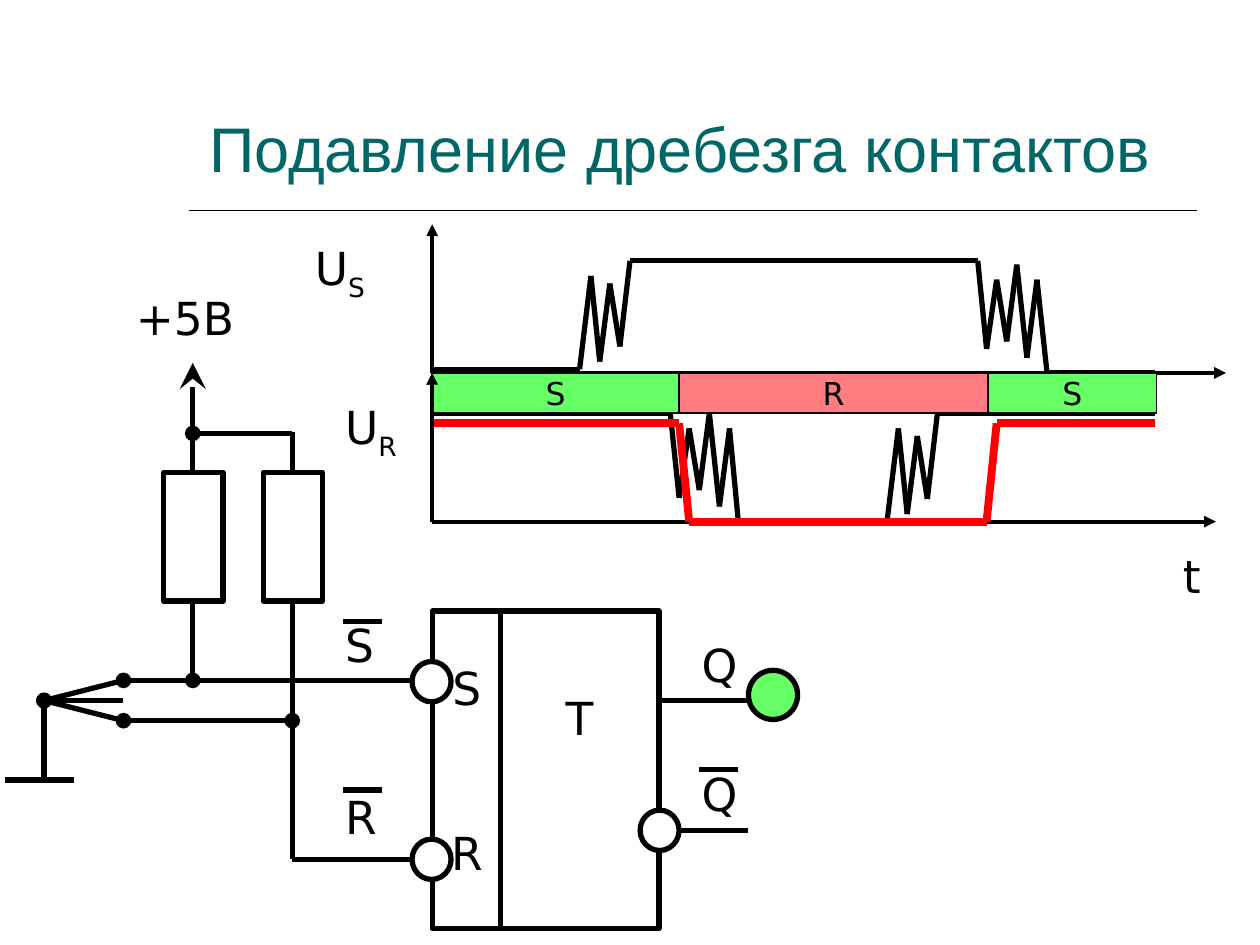
from itertools import pairwise

from lxml import etree
from pptx import Presentation
from pptx.dml.color import RGBColor
from pptx.enum.shapes import MSO_CONNECTOR, MSO_SHAPE
from pptx.enum.text import MSO_ANCHOR, MSO_AUTO_SIZE, PP_ALIGN
from pptx.oxml.ns import qn
from pptx.util import Inches, Pt

BLACK = RGBColor(0x00, 0x00, 0x00)
WHITE = RGBColor(0xFF, 0xFF, 0xFF)
TEAL = RGBColor(0x00, 0x66, 0x66)
GREEN = RGBColor(0x66, 0xFF, 0x66)
PINK = RGBColor(0xFF, 0x7C, 0x80)
RED = RGBColor(0xFF, 0x00, 0x00)

RECT, OVAL = MSO_SHAPE.RECTANGLE, MSO_SHAPE.OVAL
STRAIGHT = MSO_CONNECTOR.STRAIGHT
LEFT, CENTER = PP_ALIGN.LEFT, PP_ALIGN.CENTER
TOP, MIDDLE, BOTTOM = MSO_ANCHOR.TOP, MSO_ANCHOR.MIDDLE, MSO_ANCHOR.BOTTOM
GROW, FIXED = MSO_AUTO_SIZE.SHAPE_TO_FIT_TEXT, MSO_AUTO_SIZE.NONE

AXIS_X, S_ZERO, R_TOP, R_ZERO = 3.43, 2.96, 3.28, 4.14
LEFT_WIRE, RIGHT_WIRE, S_WIRE, R_WIRE = 1.53, 2.32, 5.4, 5.72
END_X = 9.17


def write(tf, *lines, sub="", size=26, font="DejaVu Sans", color=BLACK,
          align=LEFT, anchor=TOP, wrap=True, fit=FIXED, gap=0):
    """Fill a text frame with lines and an optional subscript."""
    tf.word_wrap, tf.vertical_anchor, tf.auto_size = wrap, anchor, fit
    for i, line in enumerate(lines):
        p = tf.paragraphs[0] if i == 0 else tf.add_paragraph()
        p.alignment = align
        if i:
            p.space_before = Pt(gap)
        for text in filter(None, (line, sub)):
            r = p.add_run()
            r.text = text
            r.font.size, r.font.name = Pt(size), font
            r.font.color.rgb = color
    if sub:
        r._r.get_or_add_rPr().set("baseline", "-25000")


def add_label(s, x, y, text, width=0.71, height=0.54, sub=""):
    """Add a free-standing label."""
    box = s.shapes.add_textbox(Inches(x), Inches(y), Inches(width), Inches(height))
    write(box.text_frame, text, sub=sub, fit=GROW)


def add_box(s, kind, x, y, width, height, fill=WHITE, line=3):
    """Add a filled and outlined shape."""
    sp = s.shapes.add_shape(kind, Inches(x), Inches(y), Inches(width), Inches(height))
    sp.shadow.inherit = False
    sp.fill.solid()
    sp.fill.fore_color.rgb = fill
    sp.line.color.rgb = BLACK
    sp.line.width = Pt(line)
    return sp


def add_line(s, start, end, width=3, color=BLACK, head=None, tail=None, size="med"):
    """Add a straight line with optional end marks."""
    c = s.shapes.add_connector(STRAIGHT, *map(Inches, (*start, *end)))
    c.line.color.rgb = color
    c.line.width = Pt(width)
    ln = c.line._get_or_add_ln()
    for tag, mark in (("a:headEnd", head), ("a:tailEnd", tail)):
        if mark:
            etree.SubElement(ln, qn(tag), type=mark, w=size, len=size)
    etree.SubElement(c._element.spPr, qn("a:effectLst"))


def add_trace(s, *points, width=3, color=BLACK):
    """Join successive points with lines."""
    for start, end in pairwise(points):
        add_line(s, start, end, width, color)


def add_title(s):
    """Place the title and the rule under it."""
    title = s.shapes.title
    title.left, title.top = Inches(1.56), Inches(0.39)
    title.width, title.height = Inches(7.88), Inches(1.13)
    write(title.text_frame, "Подавление дребезга контактов",
          size=36, font="Arial", color=TEAL, anchor=BOTTOM)
    add_line(s, (1.5, 1.67), (9.5, 1.67), 1)


def add_switch(s):
    """Draw the supply, pull-up resistors and switch."""
    add_line(s, (LEFT_WIRE, 3.75), (LEFT_WIRE, 2.88), tail="stealth", size="lg")
    add_label(s, 0.98, 2.25, "+5В", width=1.18)
    for x in (LEFT_WIRE, RIGHT_WIRE):
        add_box(s, RECT, x - 0.23, 3.75, 0.47, 1.02)
    add_line(s, (LEFT_WIRE, 3.44), (RIGHT_WIRE, 3.44), head="oval")
    add_line(s, (RIGHT_WIRE, 3.75), (RIGHT_WIRE, 3.43))
    add_line(s, (LEFT_WIRE, 4.77), (LEFT_WIRE, S_WIRE))
    add_line(s, (RIGHT_WIRE, 4.77), (RIGHT_WIRE, R_WIRE))
    pivot = (0.35, 5.56)
    for end in ((0.98, S_WIRE), (0.98, 5.56), (0.98, R_WIRE), (0.35, 6.19)):
        add_line(s, pivot, end, head="oval")
    add_line(s, (0.04, 6.19), (0.59, 6.19))
    add_line(s, (0.98, S_WIRE), (LEFT_WIRE, S_WIRE), head="oval")
    add_line(s, (LEFT_WIRE, S_WIRE), (AXIS_X, S_WIRE), head="oval")
    add_line(s, (0.98, R_WIRE), (RIGHT_WIRE, R_WIRE), head="oval")
    add_line(s, (RIGHT_WIRE, R_WIRE), (RIGHT_WIRE, 6.82), head="oval")
    add_line(s, (RIGHT_WIRE, 6.82), (AXIS_X, 6.82))


def add_trigger(s):
    """Draw the RS trigger with its pins and lamp."""
    inputs = add_box(s, RECT, AXIS_X, 4.85, 0.55, 2.52)
    write(inputs.text_frame, "S", "R", align=CENTER, anchor=MIDDLE, wrap=False, gap=63)
    body = add_box(s, RECT, 3.97, 4.85, 1.26, 2.52)
    body.text_frame.margin_bottom = Inches(0.89)
    write(body.text_frame, "T", align=CENTER, anchor=MIDDLE, wrap=False)
    for y in (5.56, 6.59):
        add_line(s, (5.23, y), (5.94, y))
    for x, y in ((3.27, 5.25), (3.27, 6.66), (5.08, 6.43)):
        add_box(s, OVAL, x, y, 0.31, 0.32)
    add_box(s, OVAL, 5.94, 5.32, 0.39, 0.39, GREEN)
    add_label(s, 5.47, 5.01, "Q")
    for text, x, y, bar_y in (("S", 2.64, 4.85, 4.93), ("R", 2.64, 6.21, 6.27),
                              ("Q", 5.47, 6.03, 6.11)):
        add_label(s, x, y, text)
        add_line(s, (x + 0.08, bar_y), (x + 0.39, bar_y))


def add_diagram(s):
    """Draw the input voltages, states and output over time."""
    for zero, top, end in ((S_ZERO, 1.78, 9.73), (R_ZERO, S_ZERO, 9.65)):
        add_line(s, (AXIS_X, zero), (AXIS_X, top), 2.25, tail="triangle")
        add_line(s, (AXIS_X, zero), (end, zero), 2.25, tail="triangle")
    add_label(s, 2.4, 1.86, "U", height=0.6, sub="S")
    add_label(s, 2.64, 3.12, "U", height=0.6, sub="R")
    add_label(s, 9.29, 4.3, "t")
    add_trace(s, (AXIS_X, 2.93), (4.6, 2.93), (4.69, 2.19), (4.76, 2.87),
              (4.84, 2.25), (4.92, 2.75), (5, 2.07), (7.76, 2.07),
              (7.83, 2.77), (7.91, 2.22), (7.99, 2.71), (8.07, 2.1),
              (8.15, 2.84), (8.23, 2.22), (8.31, S_ZERO), (END_X, S_ZERO))
    add_trace(s, (AXIS_X, R_TOP), (5.32, R_TOP), (5.39, 3.95), (5.47, 3.4),
              (5.55, 3.89), (5.63, R_TOP), (5.71, 4.02), (5.79, 3.4),
              (5.86, R_ZERO), (7.04, R_ZERO), (7.13, 3.4), (7.2, 4.08),
              (7.28, 3.46), (7.36, 3.96), (7.44, R_TOP), (END_X, R_TOP))
    for text, x, end, fill in (("S", AXIS_X, 5.39, GREEN), ("R", 5.39, 7.84, PINK),
                               ("S", 7.84, 9.18, GREEN)):
        state = add_box(s, RECT, x, S_ZERO, end - x, R_TOP - S_ZERO, fill, 1)
        write(state.text_frame, text, size=18, align=CENTER, anchor=MIDDLE, wrap=False)
    add_trace(s, (AXIS_X, 3.36), (5.39, 3.36), (5.47, R_ZERO), (7.83, R_ZERO),
              (7.91, 3.36), (END_X, 3.36), width=4.5, color=RED)
    add_line(s, (AXIS_X, R_ZERO), (AXIS_X, S_ZERO), 2.25, tail="triangle")


def main():
    """Build the slide and save it."""
    prs = Presentation()
    prs.slide_width, prs.slide_height = Inches(10), Inches(7.5)
    s = prs.slides.add_slide(prs.slide_layouts[5])
    add_title(s)
    add_switch(s)
    add_trigger(s)
    add_diagram(s)
    prs.save("out.pptx")


if __name__ == "__main__":
    main()
